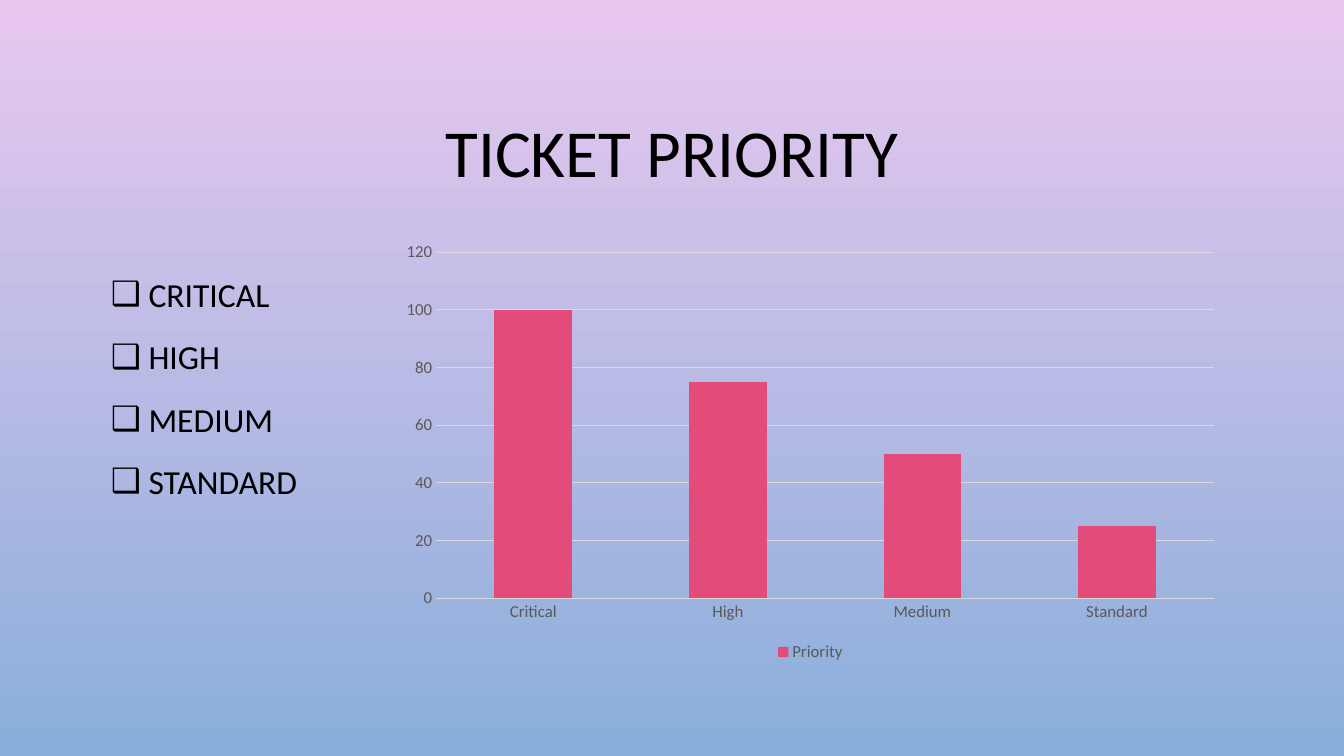
import pptx
import pptx.chart.data
import pptx.dml.color
import pptx.enum.chart
import pptx.enum.text
import pptx.util
from lxml import etree
from pptx.oxml.ns import qn

COLORS = {
    "sky_top": "E9C8EF",
    "sky_bottom": "89AEDB",
    "text": "000000",
    "label": "595959",
    "grid": "D9D9D9",
    "bar": "E34B7A",
}
PRIORITIES = {"Critical": 100, "High": 75, "Medium": 50, "Standard": 25}


def rgb(name):
    """Return the named colour."""
    return pptx.dml.color.RGBColor.from_string(COLORS[name])


class Deck:
    """Hold the style and the current slide."""

    font = "Calibri"

    def __init__(self, width, height):
        """Open a presentation of the given size in inches."""
        self.prs = pptx.Presentation()
        self.prs.slide_width = pptx.util.Inches(width)
        self.prs.slide_height = pptx.util.Inches(height)

    def add_slide(self):
        """Add a title and body slide with a vertical gradient."""
        self.s = self.prs.slides.add_slide(self.prs.slide_layouts[1])
        fill = self.s.background.fill
        fill.gradient()
        fill.gradient_angle = 270
        for stop, name in zip(fill.gradient_stops, ("sky_top", "sky_bottom")):
            stop.color.rgb = rgb(name)

    def box(self, x, y, w, h):
        """Turn shares of the slide size into lengths."""
        width, height = self.prs.slide_width, self.prs.slide_height
        return int(x * width), int(y * height), int(w * width), int(h * height)

    def style(self, font, size, color):
        """Set the font, size and colour."""
        font.name = self.font
        font.size = pptx.util.Pt(size)
        font.color.rgb = rgb(color)

    def place(self, sp, share, anchor):
        """Move a placeholder and return its text frame."""
        sp.left, sp.top, sp.width, sp.height = self.box(*share)
        tf = sp.text_frame
        tf.word_wrap = True
        tf.auto_size = pptx.enum.text.MSO_AUTO_SIZE.NONE
        tf.vertical_anchor = anchor
        return tf

    def add_run(self, p, text, size):
        """Add a styled run to a paragraph."""
        r = p.add_run()
        r.text = text
        self.style(r.font, size, "text")

    def title(self, text, share):
        """Fill the title placeholder."""
        tf = self.place(self.s.shapes.title, share, pptx.enum.text.MSO_ANCHOR.MIDDLE)
        p = tf.paragraphs[0]
        p.alignment = pptx.enum.text.PP_ALIGN.CENTER
        p.line_spacing = 0.9
        self.add_run(p, text, 48)

    def bullets(self, items, share):
        """Fill the body placeholder with a checkbox list."""
        tf = self.place(self.s.placeholders[1], share, pptx.enum.text.MSO_ANCHOR.TOP)
        for i, item in enumerate(items):
            p = tf.add_paragraph() if i else tf.paragraphs[0]
            p.line_spacing = 1.2
            p.space_before = pptx.util.Pt(10)
            pPr = p._p.get_or_add_pPr()
            indent = pptx.util.Inches(0.25)
            pPr.set("marL", str(indent))
            pPr.set("indent", str(-indent))
            color = etree.SubElement(pPr, qn("a:buClr"))
            etree.SubElement(color, qn("a:srgbClr"), val=COLORS["text"])
            etree.SubElement(pPr, qn("a:buChar"), char="❑")
            self.add_run(p, f" {item}", 24)

    def column_chart(self, name, values, share):
        """Add a stacked column chart with a legend below."""
        data = pptx.chart.data.CategoryChartData()
        data.categories = list(values)
        data.add_series(name, list(values.values()))
        kind = pptx.enum.chart.XL_CHART_TYPE.COLUMN_STACKED
        chart = self.s.shapes.add_chart(kind, *self.box(*share), data).chart
        self.style(chart.font, 10, "text")
        chart.has_title = False
        chart.has_legend = True
        chart.legend.position = pptx.enum.chart.XL_LEGEND_POSITION.BOTTOM
        chart.legend.include_in_layout = False
        self.style(chart.legend.font, 12, "label")
        for axis in (chart.category_axis, chart.value_axis):
            axis.major_tick_mark = pptx.enum.chart.XL_TICK_MARK.NONE
            axis.minor_tick_mark = pptx.enum.chart.XL_TICK_MARK.NONE
            axis.format.line.fill.background()
            self.style(axis.tick_labels.font, 12, "label")
        grid = chart.value_axis.major_gridlines.format.line
        grid.color.rgb = rgb("grid")
        grid.width = pptx.util.Pt(0.75)
        plot = chart.plots[0]
        plot.vary_by_categories = False
        plot.gap_width = 150
        plot.overlap = 100
        fill = plot.series[0].format.fill
        fill.solid()
        fill.fore_color.rgb = rgb("bar")


def main():
    """Build and save the slide."""
    deck = Deck(13.33, 7.5)
    deck.add_slide()
    deck.title("TICKET PRIORITY", (0.075, 0.09, 0.85, 0.233))
    deck.bullets([name.upper() for name in PRIORITIES], (0.075, 0.345, 0.85, 0.5))
    deck.column_chart("Priority", PRIORITIES, (0.29, 0.309, 0.626, 0.572))
    deck.prs.save("out.pptx")


if __name__ == "__main__":
    main()
